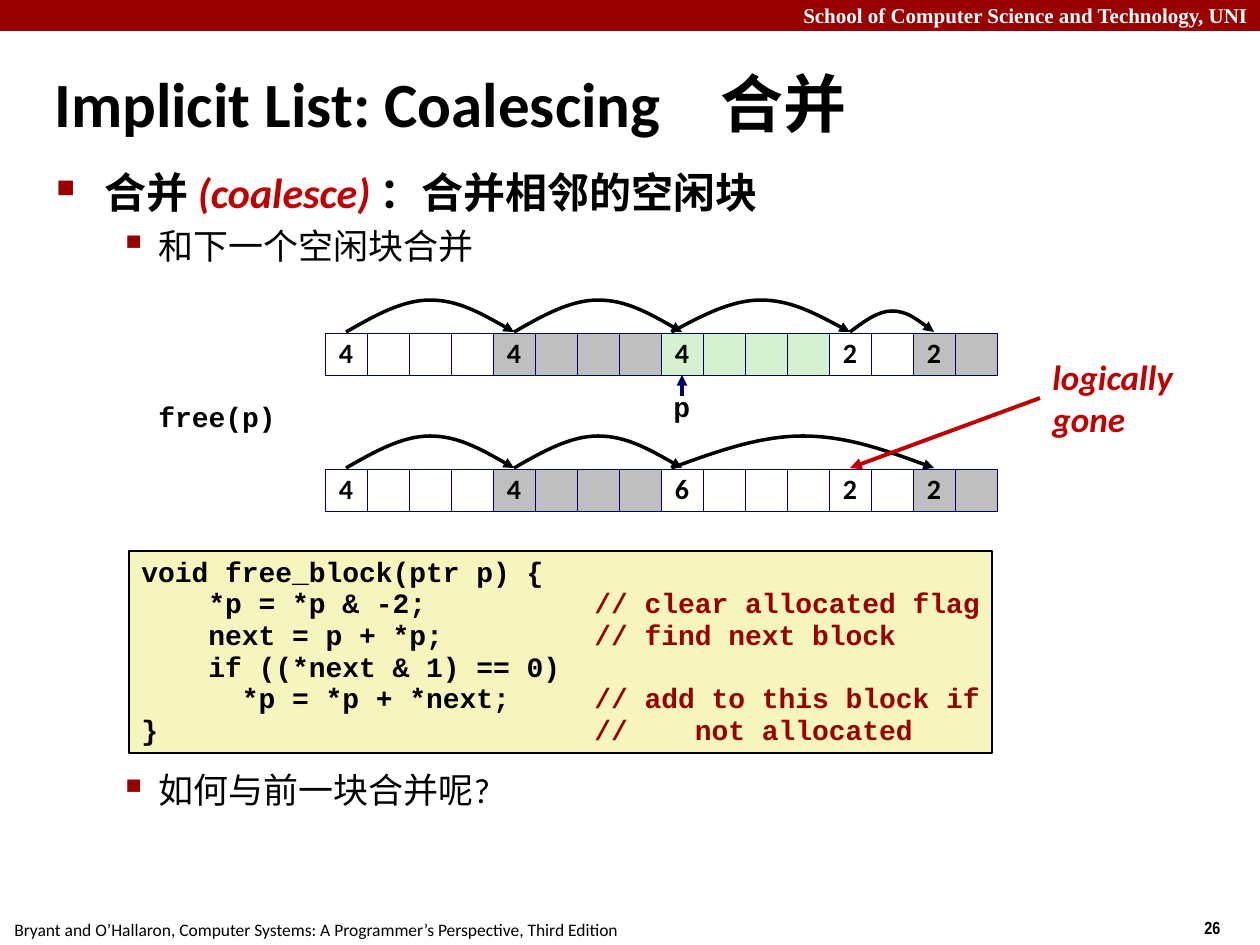
from lxml import etree
from pptx import Presentation
from pptx.dml.color import RGBColor
from pptx.enum.shapes import MSO_CONNECTOR, MSO_SHAPE
from pptx.enum.text import MSO_ANCHOR, PP_ALIGN
from pptx.oxml.ns import qn
from pptx.util import Emu, Pt

RECTANGLE = MSO_SHAPE.RECTANGLE
STRAIGHT = MSO_CONNECTOR.STRAIGHT
TOP, MIDDLE = MSO_ANCHOR.TOP, MSO_ANCHOR.MIDDLE
LEFT, CENTER, RIGHT = PP_ALIGN.LEFT, PP_ALIGN.CENTER, PP_ALIGN.RIGHT

BLACK = RGBColor(0x00, 0x00, 0x00)
WHITE = RGBColor(0xFF, 0xFF, 0xFF)
DARK_RED = RGBColor(0x99, 0x00, 0x00)
RED = RGBColor(0xC0, 0x00, 0x00)
NAVY = RGBColor(0x00, 0x00, 0x66)
GRAY = RGBColor(0xBF, 0xBF, 0xBF)
GREEN = RGBColor(0xD5, 0xF1, 0xCF)
CREAM = RGBColor(0xF6, 0xF5, 0xBD)

BODY_FONT, CODE_FONT = "Calibri", "Courier New"
CELL = 42


def px(length):
    return Emu(round(length * 914400 / 126))


def add_child(parent, tag, **attributes):
    return etree.SubElement(parent, qn(tag), {k: str(v) for k, v in attributes.items()})


def set_tab(paragraph, position):
    tabs = add_child(paragraph._p.get_or_add_pPr(), "a:tabLst")
    add_child(tabs, "a:tab", pos=px(position), algn="l")


def set_bullet(paragraph, symbol, percent, margin, hanging):
    properties = paragraph._p.get_or_add_pPr()
    properties.set("marL", str(px(margin)))
    properties.set("indent", str(-px(hanging)))
    color = add_child(properties, "a:buClr")
    add_child(color, "a:srgbClr", val=DARK_RED)
    add_child(properties, "a:buSzPct", val=percent * 1000)
    add_child(properties, "a:buChar", char=symbol)


def style(font, size, color=BLACK, bold=True, italic=False, name=BODY_FONT):
    font.name, font.size, font.bold, font.italic = name, Pt(size), bold, italic
    font.color.rgb = color


def add_runs(paragraph, parts):
    for text, color, italic in parts:
        run = paragraph.add_run()
        run.text = text
        run.font.color.rgb = color
        run.font.italic = italic


def add_text(slide, box, lines, size, align=LEFT, anchor=TOP, spacing=1.0, **font):
    shape = slide.shapes.add_textbox(*map(px, box))
    frame = shape.text_frame
    frame.word_wrap = True
    frame.margin_right = px(12) if align == RIGHT else 0
    frame.vertical_anchor = anchor
    frame.text = "\n".join(lines)
    for paragraph in frame.paragraphs:
        paragraph.alignment = align
        paragraph.line_spacing = spacing
        style(paragraph.font, size, **font)
    return frame


def add_rectangle(slide, box, fill, line=None, width=1):
    shape = slide.shapes.add_shape(RECTANGLE, *map(px, box))
    shape.shadow.inherit = False
    shape.fill.solid()
    shape.fill.fore_color.rgb = fill
    if line is None:
        shape.line.fill.background()
    else:
        shape.line.color.rgb = line
        shape.line.width = Pt(width)
    return shape


def draw_arrow_line(shape, color, width):
    shape.line.color.rgb = color
    shape.line.width = Pt(width)
    add_child(shape.line._get_or_add_ln(), "a:tailEnd", type="triangle")


def add_arrow(slide, start, end, color, width):
    arrow = slide.shapes.add_connector(STRAIGHT, *map(px, start + end))
    draw_arrow_line(arrow, color, width)
    add_child(arrow._element.spPr, "a:effectLst")


def add_hop(slide, start, end, base, rise):
    width, height = px(end - start), px(rise)
    builder = slide.shapes.build_freeform(px(start), px(base))
    builder.add_line_segments(
        [(px(start) + width // 2, px(base) - height), (px(start) + width, px(base))],
        close=False)
    hop = builder.convert_to_shape()
    hop.shadow.inherit = False
    hop.fill.background()
    draw_arrow_line(hop, BLACK, 2)
    path = hop._element.spPr.find(".//" + qn("a:path"))
    for segment in path.findall(qn("a:lnTo")):
        path.remove(segment)
    rising = [(1 / 6, 0.5), (1 / 3, 0), (1 / 2, 0)]
    falling = [(2 / 3, 0), (5 / 6, 0.5), (1, 1)]
    for curve in (rising, falling):
        bezier = add_child(path, "a:cubicBezTo")
        for x, y in curve:
            add_child(bezier, "a:pt", x=round(x * width), y=round(y * height))


def heap_row(slide, left, top, blocks, hops):
    column = 0
    for length, label, fill in blocks:
        for offset in range(length):
            box = (left + column * CELL, top, CELL, CELL)
            cell = add_rectangle(slide, box, fill, NAVY, 0.25)
            if offset == 0:
                frame = cell.text_frame
                frame.word_wrap = False
                frame.vertical_anchor = MIDDLE
                frame.text = label
                paragraph = frame.paragraphs[0]
                paragraph.alignment = CENTER
                paragraph.line_spacing = 0.98
                style(paragraph.font, 16)
            column += 1
    for start, end, rise in hops:
        add_hop(slide, left + (start + 0.5) * CELL, left + (end + 0.5) * CELL, top - 1, rise)


def heap_diagram(slide, left, top):
    leading = [(4, "4", WHITE), (4, "4", GRAY)]
    trailing = [(2, "2", WHITE), (2, "2", GRAY)]
    shared_hops = [(0, 4, 32), (4, 8, 32)]
    after = top + 136
    heap_row(slide, left, top, leading + [(4, "4", GREEN)] + trailing,
             shared_hops + [(7.75, 12, 32), (12, 14, 21)])
    heap_row(slide, left, after, leading + [(4, "6", WHITE)] + trailing,
             shared_hops + [(7.75, 14, 32)])
    add_text(slide, (left - 179, top + 63, 142, 44), ["free(p)"], 16,
             spacing=0.94, name=CODE_FONT)
    add_text(slide, (left + 336, top + 53, 42, 44), ["p"], 16,
             spacing=0.94, name=CODE_FONT)
    add_arrow(slide, (left + 357, top + 63), (left + 357, top + 42), NAVY, 2)
    add_text(slide, (left + 715, top + 16, 160, 97), ["logically", "gone"], 20,
             color=RED, italic=True)
    add_arrow(slide, (left + 715, top + 65), (left + 525, after - 1), RED, 2.25)


def code_panel(slide, left, top, width, height):
    rows = [
        ("void free_block(ptr p) {", ""),
        ("    *p = *p & -2;", "// clear allocated flag"),
        ("    next = p + *p;", "// find next block"),
        ("    if ((*next & 1) == 0)", ""),
        ("      *p = *p + *next;", "// add to this block if"),
        ("}", "//    not allocated"),
    ]
    add_rectangle(slide, (left, top, width, height), CREAM, BLACK)
    frame = add_text(slide, (left, top, width, height), [""] * len(rows), 16,
                     spacing=0.94, name=CODE_FONT)
    for paragraph, (code, comment) in zip(frame.paragraphs, rows):
        add_runs(paragraph, [(code, BLACK, False)])
        if comment:
            set_tab(paragraph, 453)
            add_runs(paragraph, [("\t" + comment, DARK_RED, False)])


def bullets(slide, left, top, width):
    frame = add_text(slide, (left, top, width, 110), ["", "和下一个空闲块合并"], 24)
    heading, detail = frame.paragraphs
    heading.line_spacing = 0.83
    heading.space_before = Pt(17.5)
    set_bullet(heading, "■", 60, 48, 48)
    add_runs(heading, [("合并 ", BLACK, False), ("(coalesce) ", RED, True),
                       ("：合并相邻的空闲块", BLACK, False)])
    closing = add_text(slide, (left, top + 599, width, 60), ["如何与前一块合并呢?"], 20)
    question = closing.paragraphs[0]
    detail.space_before = Pt(7.5)
    for paragraph in (detail, question):
        paragraph.line_spacing = 0.88
        style(paragraph.font, 20, bold=False)
        set_bullet(paragraph, "▪", 110, 102, 39)


def page_frame(slide, width):
    add_rectangle(slide, (0, 0, width, 31), DARK_RED)
    add_text(slide, (0, -4, width, 38), ["School of Computer Science and Technology, UNI"],
             12, align=RIGHT, color=WHITE, name="Times New Roman")
    add_text(slide, (2, 913, 640, 34),
             ["Bryant and O’Hallaron, Computer Systems: A Programmer’s Perspective, Third Edition"],
             10, bold=False)
    add_text(slide, (1192, 911, 60, 34), ["26"], 10, name="Arial Narrow")


def main():
    presentation = Presentation()
    presentation.slide_width, presentation.slide_height = px(1260), px(945)
    slide = presentation.slides.add_slide(presentation.slide_layouts[6])
    page_frame(slide, 1260)
    title = add_text(slide, (42, 63, 932, 79), ["Implicit List: Coalescing\t合并"], 36,
                     anchor=MIDDLE)
    set_tab(title.paragraphs[0], 666)
    bullets(slide, 44, 169, 1145)
    code_panel(slide, 129, 551, 863, 202)
    heap_diagram(slide, 325, 333)
    presentation.save("out.pptx")


if __name__ == "__main__":
    main()
